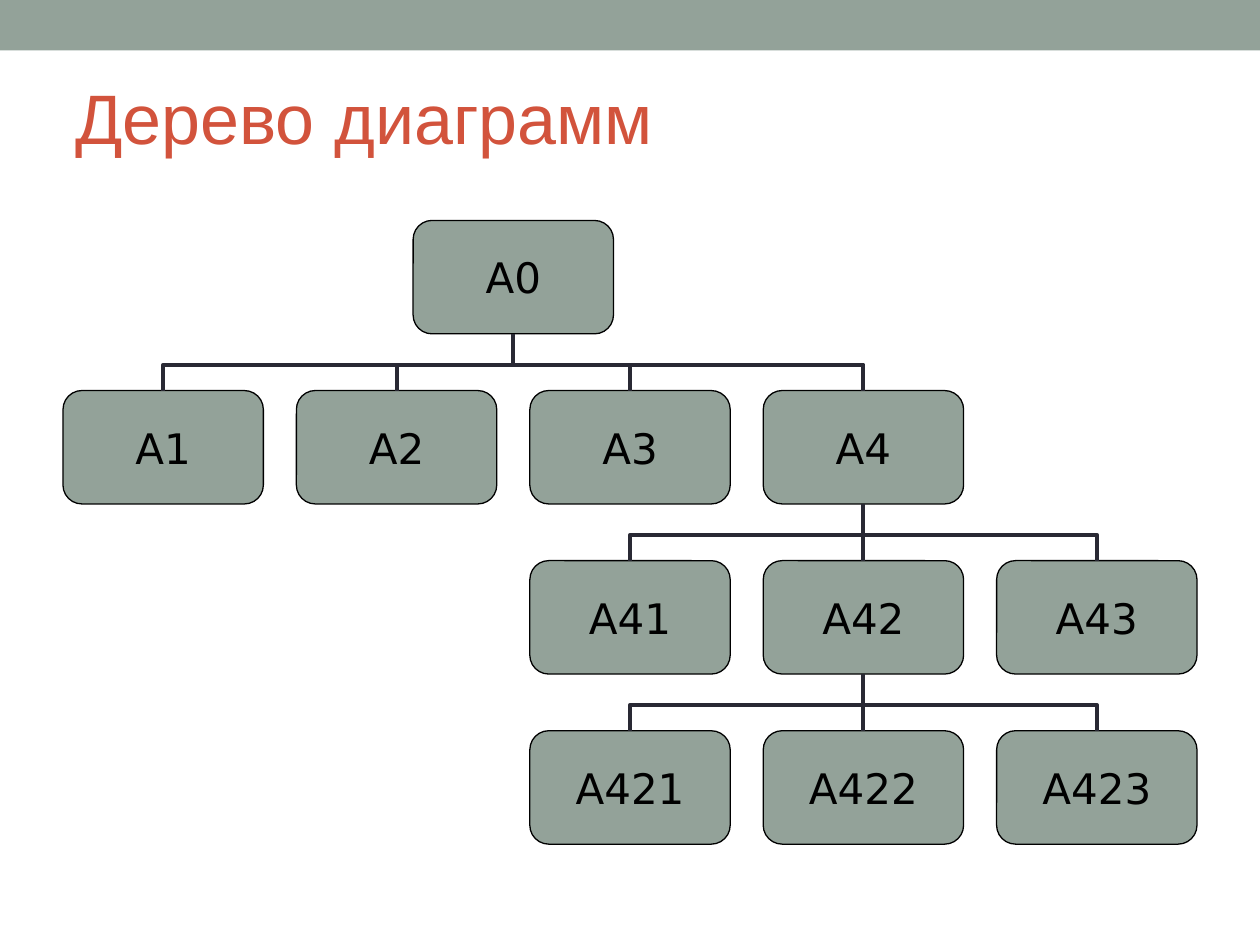
from lxml.etree import SubElement
from pptx import Presentation
from pptx.dml.color import RGBColor
from pptx.enum.shapes import MSO_CONNECTOR, MSO_SHAPE
from pptx.enum.text import MSO_ANCHOR, MSO_AUTO_SIZE, PP_ALIGN
from pptx.oxml.ns import qn
from pptx.util import Inches, Pt

TITLE = "Дерево диаграмм"
# name: (column, row, parent)
NODES = {
    "A0": (1.5, 0, None),
    "A1": (0, 1, "A0"),
    "A2": (1, 1, "A0"),
    "A3": (2, 1, "A0"),
    "A4": (3, 1, "A0"),
    "A41": (2, 2, "A4"),
    "A42": (3, 2, "A4"),
    "A43": (4, 2, "A4"),
    "A421": (2, 3, "A42"),
    "A422": (3, 3, "A42"),
    "A423": (4, 3, "A42"),
}

SAGE = RGBColor(0x93, 0xA2, 0x99)
RED = RGBColor(0xD2, 0x53, 0x3C)
DARK = RGBColor(0x29, 0x29, 0x34)
BLACK = RGBColor(0, 0, 0)

LEFT, TOP = Inches(0.5), Inches(1.75)
TREE_WIDTH = Inches(9)
BOX_WIDTH, BOX_HEIGHT = Inches(1.59), Inches(0.9)
COLUMN_STEP = (TREE_WIDTH - BOX_WIDTH) // 4
ROW_STEP = Inches(1.35)
BEND = 45700  # share of the way from child to parent, in 1/100000


def format_text(text_frame, text, *, font, size, color, align):
    text_frame.text = text
    text_frame.vertical_anchor = MSO_ANCHOR.MIDDLE
    paragraph = text_frame.paragraphs[0]
    paragraph.alignment = align
    paragraph.font.name = font
    paragraph.font.size = Pt(size)
    paragraph.font.color.rgb = color


def add_filled_shape(slide, kind, left, top, width, height):
    shape = slide.shapes.add_shape(kind, left, top, width, height)
    shape.shadow.inherit = False
    shape.fill.solid()
    shape.fill.fore_color.rgb = SAGE
    shape.line.fill.background()
    return shape


def add_node(slide, name, column, row):
    shape = add_filled_shape(
        slide, MSO_SHAPE.ROUNDED_RECTANGLE,
        LEFT + int(column * COLUMN_STEP), TOP + row * ROW_STEP,
        BOX_WIDTH, BOX_HEIGHT)
    shape.adjustments[0] = 0.167
    shape.line.color.rgb = BLACK
    shape.line.width = Pt(0.75)
    frame = shape.text_frame
    frame.margin_left = frame.margin_right = 0
    frame.margin_top = frame.margin_bottom = 0
    format_text(frame, name, font="DejaVu Sans", size=24, color=BLACK,
                align=PP_ALIGN.CENTER)
    return shape


def turn_elbow(connector, offset):
    """Rotate the elbow so that it leaves the child vertically."""
    center_x = connector.left + connector.width // 2
    center_y = connector.top + connector.height // 2
    width, height = connector.height, connector.width
    connector.left, connector.top = center_x - width // 2, center_y - height // 2
    connector.width, connector.height = width, height

    properties = connector._element.spPr
    transform = properties.find(qn("a:xfrm"))
    transform.set("rot", str((270 if offset > 0 else 90) * 60000))
    transform.set("flipH", "0" if offset > 0 else "1")
    transform.set("flipV", "1")
    adjustments = properties.find(qn("a:prstGeom")).get_or_add_avLst()
    SubElement(adjustments, qn("a:gd"), name="adj1", fmla=f"val {BEND}")


def connect(slide, child, parent):
    offset = child.left - parent.left
    kind = MSO_CONNECTOR.ELBOW if offset else MSO_CONNECTOR.STRAIGHT
    connector = slide.shapes.add_connector(
        kind,
        child.left + child.width // 2, child.top,
        parent.left + parent.width // 2, parent.top + parent.height)
    connector.begin_connect(child, 0)
    connector.end_connect(parent, 2)
    if offset:
        turn_elbow(connector, offset)
    connector.line.color.rgb = DARK
    connector.line.width = Pt(2.25)
    SubElement(connector._element.spPr, qn("a:effectLst"))


def main():
    presentation = Presentation()
    presentation.slide_width, presentation.slide_height = Inches(10), Inches(7.5)
    slide = presentation.slides.add_slide(presentation.slide_layouts[5])

    add_filled_shape(slide, MSO_SHAPE.RECTANGLE, 0, 0,
                     presentation.slide_width, Inches(0.4))

    title = slide.shapes.title
    title.left, title.top = Inches(0.5), Inches(0.3)
    title.width, title.height = Inches(9), Inches(1.25)
    title.text_frame.auto_size = MSO_AUTO_SIZE.NONE
    format_text(title.text_frame, TITLE, font="Arial", size=40, color=RED,
                align=PP_ALIGN.LEFT)

    boxes = {name: add_node(slide, name, column, row)
             for name, (column, row, _) in NODES.items()}
    for name, (_, _, parent) in NODES.items():
        if parent:
            connect(slide, boxes[name], boxes[parent])

    presentation.save("out.pptx")


if __name__ == "__main__":
    main()
